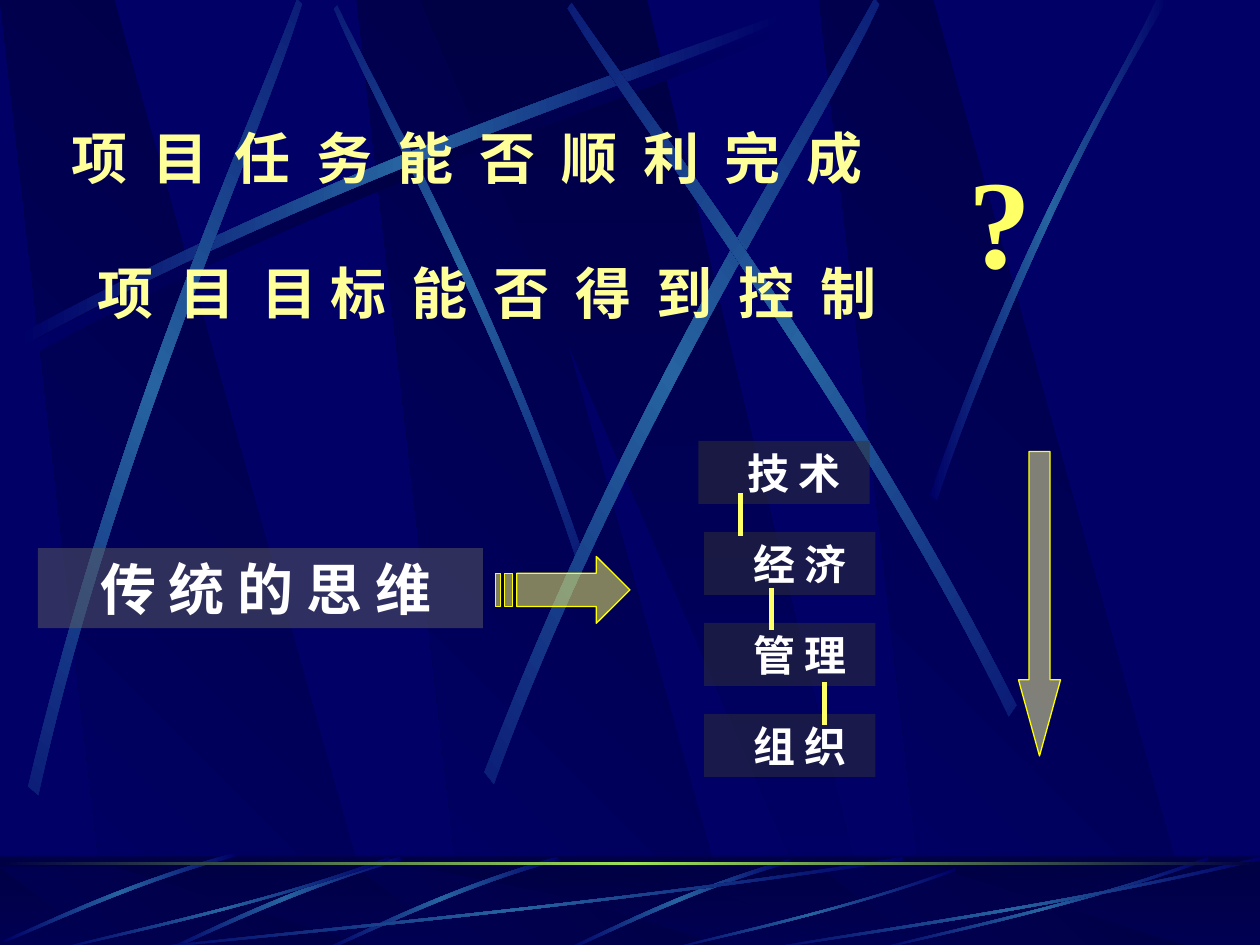
from lxml import etree
from pptx import Presentation
from pptx import util as u
from pptx.dml.color import RGBColor
from pptx.enum import shapes, text
from pptx.oxml import ns, parse_xml

Pt = u.Pt
THEME = dict(
    back="000066", deep="000044", streak="2663A0", rule="9CE157",
    headline="FFFF99", accent="FFFF66", outline="FFFF00", white="FFFFFF",
    topic="5F5F5F", step="333333", font="Times New Roman",
    large=32, small=24, huge=72, tracking=3.7,
)
SLAB = (THEME["deep"], THEME["back"])
GLOW = (THEME["back"], THEME["streak"], THEME["back"])
SHADE = (THEME["back"], THEME["deep"], THEME["back"])

# Outlines are fractions of a box; a ribbon is two Bezier curves joined at the ends
SLAB_OUTLINE = [(.285, 1), (1, 1), (.3, 0), (0, 0)]
WEDGE_OUTLINE = [(0, 0), (.9, 1), (1, 1), (.5, 0)]
SLAB_LEFTS, SLAB_WIDTH = (203.8, 0, 468), 217.4
WEDGE_LEFT, WEDGE_WIDTH = 239.8, 259.9

SWEEP = [(0, .96), (.43, .43), (.83, .15), (1, 0),
         (1, .02), (.84, .19), (.39, .5), (0, 1)]
SIDE = [(0, .99), (.4, .44), (.79, .17), (.95, 0),
        (1, 0), (.52, .37), (.16, .81), (.03, 1)]
FLAT = [(1, .04), (.57, .57), (.17, .85), (0, 1),
        (0, .99), (.17, .81), (.62, .51), (1, 0)]
BOWED = [(.99, 0), (.51, .34), (.16, .81), (0, .98),
         (.01, 1), (.19, .81), (.61, .29), (1, .04)]

# profile, box, colours, rotation, mirrored
WALL_RIBBONS = [
    (SWEEP, (14.4, 13, 437.8, 192.2), SHADE, 0, False),
    (SWEEP, (101.5, 97.2, 318.2, 126), GLOW, 45, True),
    (SWEEP, (10.1, 7.2, 437.8, 192.2), GLOW, 0, False),
    (SWEEP, (-123.1, 131, 437.8, 192.2), GLOW, 311.7, False),
    (SWEEP, (166.3, 115.2, 449.3, 216.7), GLOW, 321.6, False),
    (SWEEP, (232.6, 109.4, 437.8, 192.2), GLOW, 34.8, True),
    (SIDE, (531.4, 0, 136.1, 285.8), GLOW, 0, False),
]
FLOOR_RIBBONS = [
    (BOWED, (322.6, 491, 129.6, 52.6)), (BOWED, (184.3, 489.6, 135.4, 54)),
    (BOWED, (94.3, 489.6, 135.4, 54)), (BOWED, (1.4, 487.4, 133.9, 51.1)),
    (FLAT, (72, 489.6, 444.2, 54)), (FLAT, (30.2, 489.6, 192.2, 54)),
    (FLAT, (379.4, 496.1, 166.3, 47.5)), (FLAT, (498.2, 489.6, 192.2, 54)),
    (FLAT, (432, 489.6, 288, 54)),
]

TASK = [("项 目 任 务 能 否 顺 利 完 成", THEME["tracking"])]
GOAL = [("项 目 ", THEME["tracking"]), ("目 ", 0),
        ("标 能 否 得 到 控 制", THEME["tracking"])]
TOPIC = "传 统 的 思 维"
STEPS = [("技 术", 399), ("经 济", 402.3), ("管 理", 402.3), ("组 织", 402.3)]
STEP_TOP, STEP_PITCH, STEP_SIZE = 252, 52, (98, 36)
LINKS = [(423, 282), (441, 336), (471, 390)]
LINK_LENGTH = 24
ARROW_BOX = (283, 318, 77, 38.2)
ARROW_PARTS = [
    [(.16, .25), (.75, .25), (.75, 0), (1, .5), (.75, 1), (.75, .75), (.16, .75)],
    [(0, .25), (.04, .25), (.04, .75), (0, .75)],
    [(.07, .25), (.13, .25), (.13, .75), (.07, .75)],
]
DOWN_BOX = (582, 258, 24, 174)


def gradient(shape, colours, angle):
    """Fill with evenly spaced colour stops."""
    shape.fill.background()
    stops = "".join(
        f'<a:gs pos="{100000 * i // (len(colours) - 1)}"><a:srgbClr val="{c}"/></a:gs>'
        for i, c in enumerate(colours))
    fill = parse_xml(f'<a:gradFill {ns.nsdecls("a")} rotWithShape="1"><a:gsLst>{stops}'
                     f'</a:gsLst><a:lin ang="{angle * 60000}" scaled="0"/></a:gradFill>')
    props = shape._element.spPr
    props.replace(props.find(ns.qn("a:noFill")), fill)


def half_clear(shape, colour):
    shape.fill.solid()
    shape.fill.fore_color.rgb = RGBColor.from_string(colour)
    colour_node = shape._element.spPr.find(ns.qn("a:solidFill"))[0]
    etree.SubElement(colour_node, ns.qn("a:alpha")).set("val", "50000")


def outline(shape, colour=None):
    shape.shadow.inherit = False
    if colour:
        shape.line.color.rgb = RGBColor.from_string(colour)
        shape.line.width = Pt(.75)
    else:
        shape.line.fill.background()


def preset(page, kind, box, line=None):
    shape = page.shapes.add_shape(kind, *map(Pt, box))
    outline(shape, line)
    return shape


def polygon(page, box, contours, line=None):
    left, top, width, height = box
    builder = None
    for contour in contours:
        points = [(Pt(left + x * width), Pt(top + y * height)) for x, y in contour]
        if builder is None:
            builder = page.shapes.build_freeform(*points[0])
        else:
            builder.move_to(*points[0])
        builder.add_line_segments(points[1:], close=True)
    shape = builder.convert_to_shape()
    outline(shape, line)
    return shape


def ribbon(page, profile, box, colours=GLOW, rotation=0, mirrored=False):
    points = [(1 - x, y) for x, y in profile] if mirrored else profile
    shape = polygon(page, box, [points])
    sides = list(shape._element.iter(ns.qn("a:lnTo")))
    for trio in (sides[:3], sides[4:7]):  # the middle side joins the two curves
        curve = etree.Element(ns.qn("a:cubicBezTo"))
        trio[0].addprevious(curve)
        for side in trio:
            curve.append(side[0])
            side.getparent().remove(side)
    gradient(shape, colours, 180)
    shape.rotation = rotation


def slabs(page, top, height):
    for left in SLAB_LEFTS:
        gradient(polygon(page, (left, top, SLAB_WIDTH, height), [SLAB_OUTLINE]), SLAB, 135)
    gradient(polygon(page, (WEDGE_LEFT, top, WEDGE_WIDTH, height), [WEDGE_OUTLINE]), SLAB, 90)


def write(box, spans, size=THEME["large"], colour=THEME["white"], indent=0):
    frame = box.text_frame
    frame.word_wrap = False
    frame.auto_size = text.MSO_AUTO_SIZE.NONE
    frame.vertical_anchor = text.MSO_ANCHOR.MIDDLE
    frame.margin_left, frame.margin_right = Pt(7.2 + indent), Pt(7.2)
    frame.margin_top = frame.margin_bottom = Pt(3.6)
    para = frame.paragraphs[0]
    para.alignment = text.PP_ALIGN.CENTER
    para.line_spacing = 1.0
    para.space_before = Pt(0)
    for words, tracking in spans:
        span = para.add_run()
        span.text = words
        span.font.name, span.font.size, span.font.bold = THEME["font"], Pt(size), True
        span.font.color.rgb = RGBColor.from_string(colour)
        if tracking:
            span._r.get_or_add_rPr().set("spc", str(round(tracking * 100)))


def draw_backdrop(page):
    rect = shapes.MSO_SHAPE.RECTANGLE
    page.background.fill.solid()
    page.background.fill.fore_color.rgb = RGBColor.from_string(THEME["back"])
    slabs(page, 0, 541.4)
    for item in WALL_RIBBONS:
        ribbon(page, *item)
    gradient(preset(page, rect, (0, 489.6, 720, 54)), SLAB, 90)
    slabs(page, 495.4, 47.5)
    half_clear(preset(page, rect, (0, 489, 720, 54)), THEME["deep"])
    for item in FLOOR_RIBBONS:
        ribbon(page, *item)
    gradient(preset(page, rect, (0, 492.4, 720, 1.7)),
             (THEME["deep"], THEME["rule"], THEME["deep"]), 180)


def draw_content(page):
    rect = shapes.MSO_SHAPE.RECTANGLE
    title = page.shapes.title
    page.shapes._spTree.append(title._element)  # bring in front of the backdrop
    title.left, title.top, title.width, title.height = map(Pt, (-44.5, 67, 623, 46))
    write(title, TASK, colour=THEME["headline"])
    goal = page.shapes.add_textbox(*map(Pt, (-33, 144, 623, 46)))
    write(goal, GOAL, colour=THEME["headline"])
    question = page.shapes.add_textbox(*map(Pt, (546.5, 77.8, 50.4, 93.6)))
    write(question, [("?", 0)], THEME["huge"], THEME["accent"])

    topic = preset(page, rect, (21.6, 313.2, 254.4, 45.8))
    half_clear(topic, THEME["topic"])
    write(topic, [(TOPIC, 0)], indent=6)
    for row, (words, left) in enumerate(STEPS):
        step = preset(page, rect, (left, STEP_TOP + row * STEP_PITCH, *STEP_SIZE))
        half_clear(step, THEME["step"])
        write(step, [(words, 0)], THEME["small"], indent=11.5)
    for x, y in LINKS:
        link = page.shapes.add_connector(shapes.MSO_CONNECTOR.STRAIGHT,
                                         *map(Pt, (x, y, x, y + LINK_LENGTH)))
        link.line.color.rgb = RGBColor.from_string(THEME["accent"])
        link.line.width = Pt(3)
        etree.SubElement(link._element.spPr, ns.qn("a:effectLst"))
    half_clear(polygon(page, ARROW_BOX, ARROW_PARTS, THEME["outline"]), THEME["accent"])
    down = preset(page, shapes.MSO_SHAPE.DOWN_ARROW, DOWN_BOX, THEME["outline"])
    down.adjustments[0], down.adjustments[1] = .5, 1.81
    half_clear(down, THEME["headline"])


def main():
    deck = Presentation()
    deck.slide_width, deck.slide_height = Pt(720), Pt(540)
    page = deck.slides.add_slide(deck.slide_layouts[5])
    draw_backdrop(page)
    draw_content(page)
    deck.save("out.pptx")


if __name__ == "__main__":
    main()
